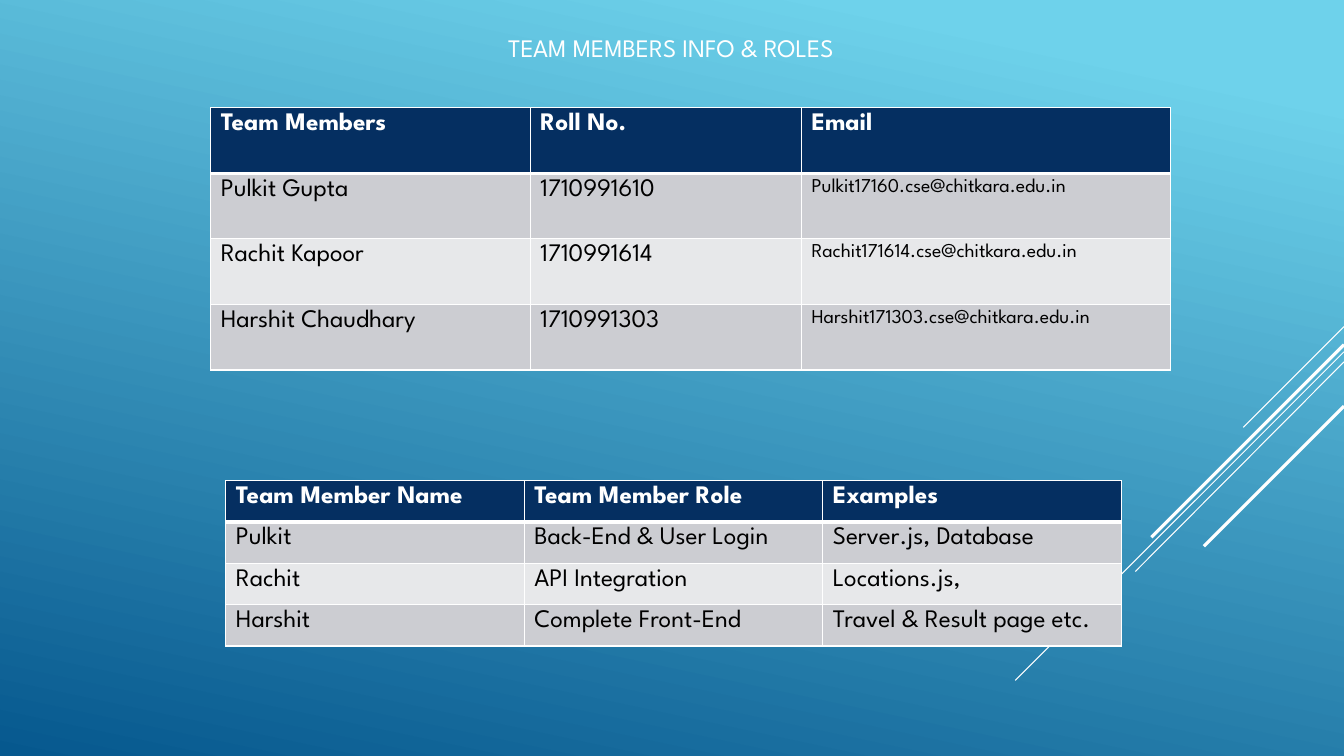
from lxml.etree import SubElement
from pptx import Presentation
from pptx.dml.color import RGBColor
from pptx.enum.shapes import MSO_CONNECTOR
from pptx.enum.text import MSO_ANCHOR, PP_ALIGN
from pptx.oxml.ns import qn
from pptx.util import Inches, Pt

WHITE = RGBColor(0xFF, 0xFF, 0xFF)
BLACK = RGBColor(0x00, 0x00, 0x00)
NAVY = RGBColor(0x05, 0x2F, 0x61)
BAND_DARK = RGBColor(0xCC, 0xCD, 0xD2)
BAND_LIGHT = RGBColor(0xE7, 0xE8, 0xEA)
SKY = RGBColor(0x6E, 0xD2, 0xEB)
OCEAN = RGBColor(0x06, 0x58, 0x8E)

STREAKS = [
    (3.24, 12.33, 4.24, 0.75),
    (3.49, 10.07, 6.75, 0.75),
    (3.59, 11.26, 5.67, 0.75),
    (3.42, 11.42, 5.33, 2.25),
    (4.03, 11.94, 5.42, 2.25),
]
CONTACTS = [
    ["Team Members", "Roll No.", "Email"],
    ["Pulkit Gupta", "1710991610", "Pulkit17160.cse@chitkara.edu.in"],
    ["Rachit Kapoor", "1710991614", "Rachit171614.cse@chitkara.edu.in"],
    ["Harshit Chaudhary", "1710991303", "Harshit171303.cse@chitkara.edu.in"],
]
ROLES = [
    ["Team Member Name", "Team Member Role", "Examples"],
    ["Pulkit", "Back-End & User Login", "Server.js, Database"],
    ["Rachit", "API Integration", "Locations.js,"],
    ["Harshit", "Complete Front-End", "Travel & Result page etc."],
]


def write_text(text_frame, text, size=18, color=BLACK, bold=False, font="League Spartan"):
    paragraph = text_frame.paragraphs[0]
    paragraph.alignment = PP_ALIGN.LEFT
    run = paragraph.add_run()
    run.text = text
    run.font.name = font
    run.font.size = Pt(size)
    run.font.bold = bold
    run.font.color.rgb = color


class TeamSlide:
    width, height = 13.33, 7.5

    def __init__(self, presentation):
        presentation.slide_width = Inches(self.width)
        presentation.slide_height = Inches(self.height)
        self.slide = presentation.slides.add_slide(presentation.slide_layouts[5])

    def background(self, stops, angle):
        fill = self.slide.background.fill
        fill.gradient()
        fill.gradient_angle = 360 - angle
        for stop, (position, color) in zip(fill.gradient_stops, stops):
            stop.position = position
            stop.color.rgb = color

    def title(self, text, left, top, width, height):
        shape = self.slide.shapes.title
        shape.left, shape.top = Inches(left), Inches(top)
        shape.width, shape.height = Inches(width), Inches(height)
        shape.text_frame.word_wrap = True
        shape.text_frame.vertical_anchor = MSO_ANCHOR.TOP
        write_text(shape.text_frame, text, color=WHITE)

    def streak(self, start_top, end_left, end_top, weight):
        connector = self.slide.shapes.add_connector(
            MSO_CONNECTOR.STRAIGHT, Inches(self.width), Inches(start_top),
            Inches(end_left), Inches(end_top))
        connector.line.color.rgb = WHITE
        connector.line.width = Pt(weight)
        SubElement(connector.element.spPr, qn("a:effectLst"))

    def borders(self, cell, **weights):
        properties = cell._tc.get_or_add_tcPr()
        for side in "LRTB":
            line = SubElement(properties, qn(f"a:ln{side}"), w=str(Pt(weights.get(side, 1))))
            fill = SubElement(line, qn("a:solidFill"))
            SubElement(fill, qn("a:srgbClr"), val=str(WHITE))

    def table(self, rows, left, top, column_widths, row_height, email_column=None):
        table = self.slide.shapes.add_table(
            len(rows), len(column_widths), Inches(left), Inches(top),
            Inches(sum(column_widths)), Inches(row_height * len(rows))).table
        for column, width in zip(table.columns, column_widths):
            column.width = Inches(width)
        for row_index, texts in enumerate(rows):
            header = row_index == 0
            band = BAND_DARK if row_index % 2 else BAND_LIGHT
            for column_index, text in enumerate(texts):
                cell = table.cell(row_index, column_index)
                self.borders(cell, T=3 if row_index == 1 else 1, B=3 if header else 1)
                cell.fill.solid()
                cell.fill.fore_color.rgb = NAVY if header else band
                small = column_index == email_column and not header
                write_text(cell.text_frame, text, size=14 if small else 18,
                           color=WHITE if header else BLACK, bold=header)


def main():
    presentation = Presentation()
    team = TeamSlide(presentation)
    team.background([(0.1, SKY), (1, OCEAN)], angle=102)
    for streak in STREAKS:
        team.streak(*streak)
    team.table(CONTACTS, 2.09, 1.07, [3.17, 2.69, 3.66], 0.65, email_column=2)
    team.title("TEAM MEMBERS INFO & ROLES", 4.94, 0.27, 5.4, 0.4)
    team.table(ROLES, 2.24, 4.77, [2.96] * 3, 0.41)
    presentation.save("out.pptx")


if __name__ == "__main__":
    main()
